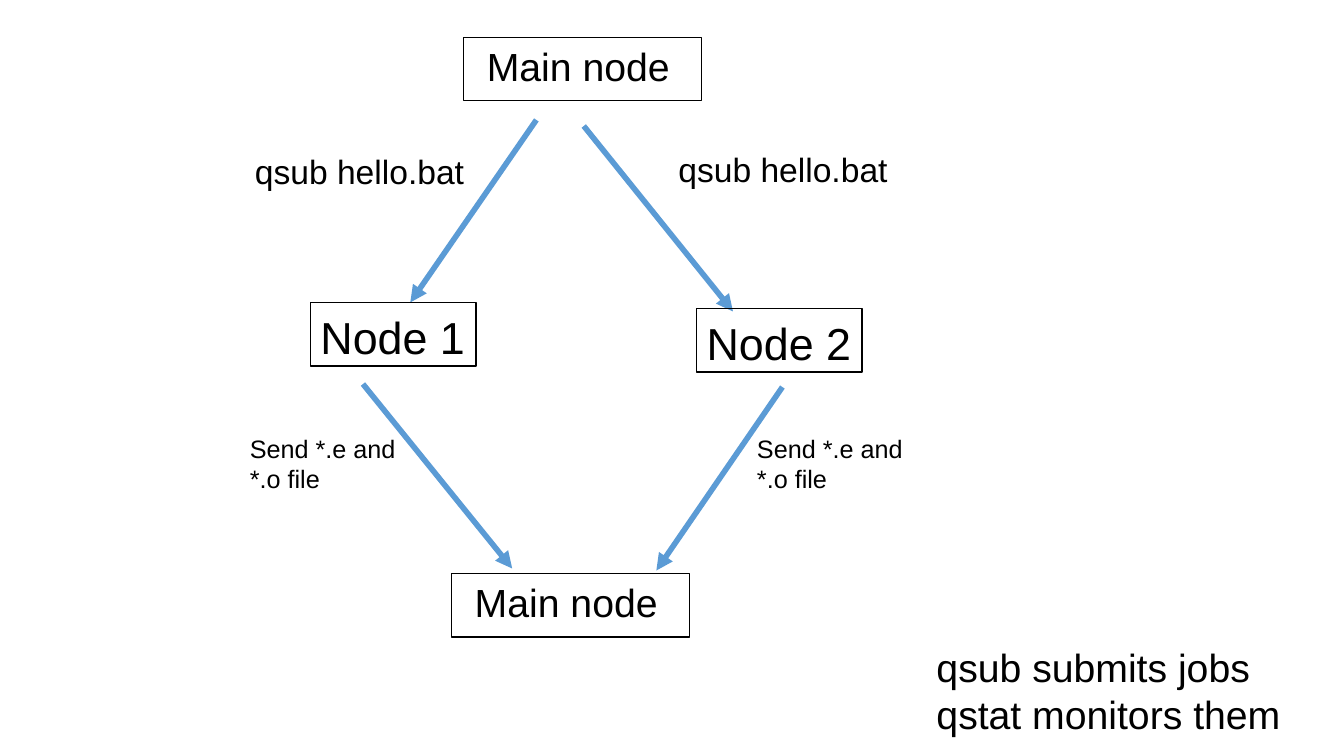
from lxml import etree
from pptx import Presentation
from pptx import util as u
from pptx.dml.color import RGBColor
from pptx.enum import shapes, text
from pptx.oxml import ns


def color(value):
    return RGBColor.from_string(value)


def write(frame, words, *, size, font, ink):
    """Fill a text frame, one paragraph per line of words."""
    for index, line in enumerate(words.split("\n")):
        para = frame.paragraphs[0] if index == 0 else frame.add_paragraph()
        span = para.add_run()
        span.text = line
        span.font.size = u.Pt(size)
        span.font.name = font
        span.font.color.rgb = color(ink)


class Diagram:
    font = "Arial"
    ink = "000000"
    arrow_color = "5B9BD5"
    box_height = 0.63

    def __init__(self, page):
        self.page = page

    def label(self, words, left, top, width, height, size, wrap=False):
        box = self.page.shapes.add_textbox(
            u.Inches(left), u.Inches(top), u.Inches(width), u.Inches(height))
        frame = box.text_frame
        frame.word_wrap = wrap
        frame.auto_size = text.MSO_AUTO_SIZE.SHAPE_TO_FIT_TEXT
        write(frame, words, size=size, font=self.font, ink=self.ink)

    def outline(self, left, top, width):
        box = self.page.shapes.add_shape(
            shapes.MSO_SHAPE.RECTANGLE, u.Inches(left), u.Inches(top),
            u.Inches(width), u.Inches(self.box_height))
        box.shadow.inherit = False
        box.fill.background()
        box.line.color.rgb = color(self.ink)
        box.line.width = u.Pt(1)

    def main_node(self, left, top):
        self.outline(left, top, 2.36)
        self.label("Main node", left + 0.13, top, 2.59, 0.57, 28, wrap=True)

    def worker_node(self, words, left, top):
        self.label(words, left, top + 0.02, 1.65, 0.64, 32)
        self.outline(left, top, 1.64)

    def arrow(self, start, end):
        line = self.page.shapes.add_connector(
            shapes.MSO_CONNECTOR.STRAIGHT,
            *(u.Inches(value) for value in start + end))
        line.line.color.rgb = color(self.arrow_color)
        line.line.width = u.Pt(4)
        etree.SubElement(line.line._get_or_add_ln(), ns.qn("a:tailEnd"), type="triangle")
        etree.SubElement(line._element.spPr, ns.qn("a:effectLst"))


def main():
    deck = Presentation()
    deck.slide_width = u.Inches(13.33)
    deck.slide_height = u.Inches(7.5)
    diagram = Diagram(deck.slides.add_slide(deck.slide_layouts[6]))

    diagram.main_node(4.6, 0.37)
    for left, top in ((2.43, 1.45), (6.63, 1.43)):
        diagram.label("qsub hello.bat", left, top, 2.3, 0.5, 24)
    for start, end in (
        ((5.32, 1.19), (4.07, 3)),
        ((5.79, 1.25), (7.27, 3.09)),
        ((3.6, 3.81), (5.08, 5.64)),
        ((7.76, 3.84), (6.51, 5.66)),
    ):
        diagram.arrow(start, end)
    diagram.worker_node("Node 1", 3.08, 3)
    diagram.worker_node("Node 2", 6.91, 3.06)
    for left in (2.38, 7.41):
        diagram.label("Send *.e and\n*.o file", left, 4.25, 1.73, 0.71, 18)
    diagram.main_node(4.48, 5.69)
    diagram.label("qsub submits jobs\nqstat monitors them", 9.19, 6.33, 3.66, 1.04, 28)

    deck.save("out.pptx")


if __name__ == "__main__":
    main()
